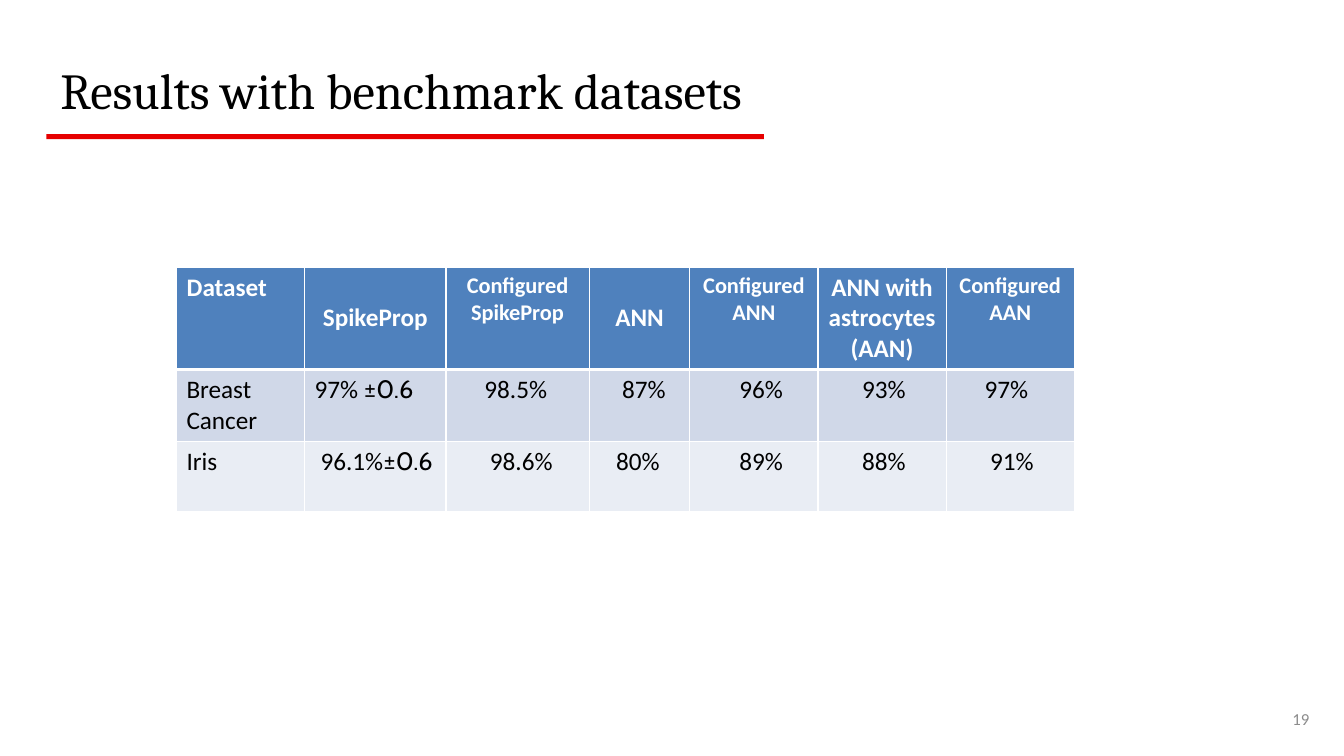
from lxml import etree
from pptx import Presentation
from pptx.dml.color import RGBColor
from pptx.enum.shapes import MSO_SHAPE
from pptx.enum.text import MSO_ANCHOR, MSO_AUTO_SIZE, PP_ALIGN
from pptx.oxml.ns import qn
from pptx.util import Cm, Pt

BLACK = RGBColor(0x00, 0x00, 0x00)
WHITE = RGBColor(0xFF, 0xFF, 0xFF)
RED = RGBColor(0xE6, 0x00, 0x00)
GREY = RGBColor(0x8C, 0x8C, 0x8C)
HEADER_BLUE = RGBColor(0x4F, 0x81, 0xBD)
ROW_FILLS = (RGBColor(0xD0, 0xD8, 0xE8), RGBColor(0xE9, 0xED, 0xF4))

LEFT, CENTER, RIGHT = PP_ALIGN.LEFT, PP_ALIGN.CENTER, PP_ALIGN.RIGHT
TOP, MIDDLE = MSO_ANCHOR.TOP, MSO_ANCHOR.MIDDLE
NO_AUTOFIT = MSO_AUTO_SIZE.NONE
RECTANGLE = MSO_SHAPE.RECTANGLE
TITLE_ONLY = 5

COLUMN_WIDTHS = (3.23, 3.56, 3.61, 2.54, 3.23, 3.23, 3.23)
ROW_HEIGHTS = (2.58, 1.8, 1.78)
HEADERS = (
    ("Dataset", 18, LEFT, TOP),
    ("SpikeProp", 18, CENTER, MIDDLE),
    ("Configured SpikeProp", 16, CENTER, TOP),
    ("ANN", 18, CENTER, MIDDLE),
    ("Configured ANN", 16, CENTER, TOP),
    ("ANN with astrocytes (AAN)", 18, CENTER, TOP),
    ("Configured AAN", 16, CENTER, TOP),
)
RESULTS = (
    (("Breast Cancer", 0.25), ("97% ±0.6", 0.25), ("98.5%", 0.97), ("87%", 0.83),
     ("96%", 1.25), ("93%", 1.11), ("97%", 0.97)),
    (("Iris", 0.25), ("96.1%±0.6", 0.4), ("98.6%", 1.11), ("80%", 0.68),
     ("89%", 1.25), ("88%", 1.11), ("91%", 1.11)),
)


def format_run(run, size, color, font_name="Calibri", bold=False):
    """Apply a font, size and colour to a run."""
    run.font.name = font_name
    run.font.size = Pt(size)
    run.font.color.rgb = color
    run.font.bold = bold


def set_borders(cell, bottom_width):
    """Give a cell white borders, with its own width at the bottom."""
    properties = cell._tc.get_or_add_tcPr()
    widths = {"a:lnL": 1, "a:lnR": 1, "a:lnT": 1, "a:lnB": bottom_width}
    for position, (tag, width) in enumerate(widths.items()):
        line = etree.Element(qn(tag), w=str(Pt(width)))
        fill = etree.SubElement(line, qn("a:solidFill"))
        etree.SubElement(fill, qn("a:srgbClr"), val=str(WHITE))
        properties.insert(position, line)


def fill_cell(cell, text, color, bottom_width=1):
    """Set a cell's text, fill and borders and return its paragraph."""
    cell.text_frame.text = text
    cell.fill.solid()
    cell.fill.fore_color.rgb = color
    set_borders(cell, bottom_width)
    return cell.text_frame.paragraphs[0]


def add_title(slide, left, top, width, height):
    """Place the title and the red rule beneath it."""
    title = slide.shapes.title
    title.left, title.top, title.width, title.height = left, top, width, height
    frame = title.text_frame
    frame.text = "Results with benchmark datasets"
    frame.auto_size = NO_AUTOFIT
    frame.vertical_anchor = TOP
    paragraph = frame.paragraphs[0]
    paragraph.alignment = LEFT
    format_run(paragraph.runs[0], 36, BLACK, "Cambria")
    rule = slide.shapes.add_shape(
        RECTANGLE, left - Cm(0.1), top + Cm(2.01), Cm(18.08), Cm(0.13))
    rule.shadow.inherit = False
    rule.fill.solid()
    rule.fill.fore_color.rgb = RED
    rule.line.fill.background()


def add_results_table(slide, left, top, width, height):
    """Place the table of accuracies by dataset and network."""
    table = slide.shapes.add_table(
        len(ROW_HEIGHTS), len(COLUMN_WIDTHS), left, top, width, height).table
    for column, share in zip(table.columns, COLUMN_WIDTHS):
        column.width = int(width * share / sum(COLUMN_WIDTHS))
    for row, share in zip(table.rows, ROW_HEIGHTS):
        row.height = int(height * share / sum(ROW_HEIGHTS))
    for index, (text, size, alignment, anchor) in enumerate(HEADERS):
        cell = table.cell(0, index)
        paragraph = fill_cell(cell, text, HEADER_BLUE, bottom_width=3)
        paragraph.alignment = alignment
        cell.vertical_anchor = anchor
        format_run(paragraph.runs[0], size, WHITE, bold=True)
    for row_index, (results, color) in enumerate(zip(RESULTS, ROW_FILLS), 1):
        for column_index, (text, indent) in enumerate(results):
            value, sign, deviation = text.partition("±")
            cell = table.cell(row_index, column_index)
            paragraph = fill_cell(cell, value, color)
            cell.margin_left = Cm(indent)
            format_run(paragraph.runs[0], 18, BLACK)
            if sign:
                run = paragraph.add_run()
                run.text = sign + deviation
                format_run(run, 18, BLACK, "Cabin")


def add_slide_number(slide, left, top, width, height):
    """Place the slide number."""
    frame = slide.shapes.add_textbox(left, top, width, height).text_frame
    frame.word_wrap = True
    frame.vertical_anchor = MIDDLE
    frame.text = "19"
    paragraph = frame.paragraphs[0]
    paragraph.alignment = RIGHT
    format_run(paragraph.runs[0], 12, GREY)


def main():
    """Build the slide and save the presentation."""
    presentation = Presentation()
    presentation.slide_width, presentation.slide_height = Cm(33.87), Cm(19.05)
    slide = presentation.slides.add_slide(presentation.slide_layouts[TITLE_ONLY])
    add_title(slide, Cm(1.27), Cm(1.37), Cm(28.37), Cm(3.33))
    add_results_table(
        slide, Cm(4.45), Cm(6.73), Cm(sum(COLUMN_WIDTHS)), Cm(sum(ROW_HEIGHTS)))
    add_slide_number(slide, Cm(31.55), Cm(17.6), Cm(1.7), Cm(1.02))
    presentation.save("out.pptx")


if __name__ == "__main__":
    main()
